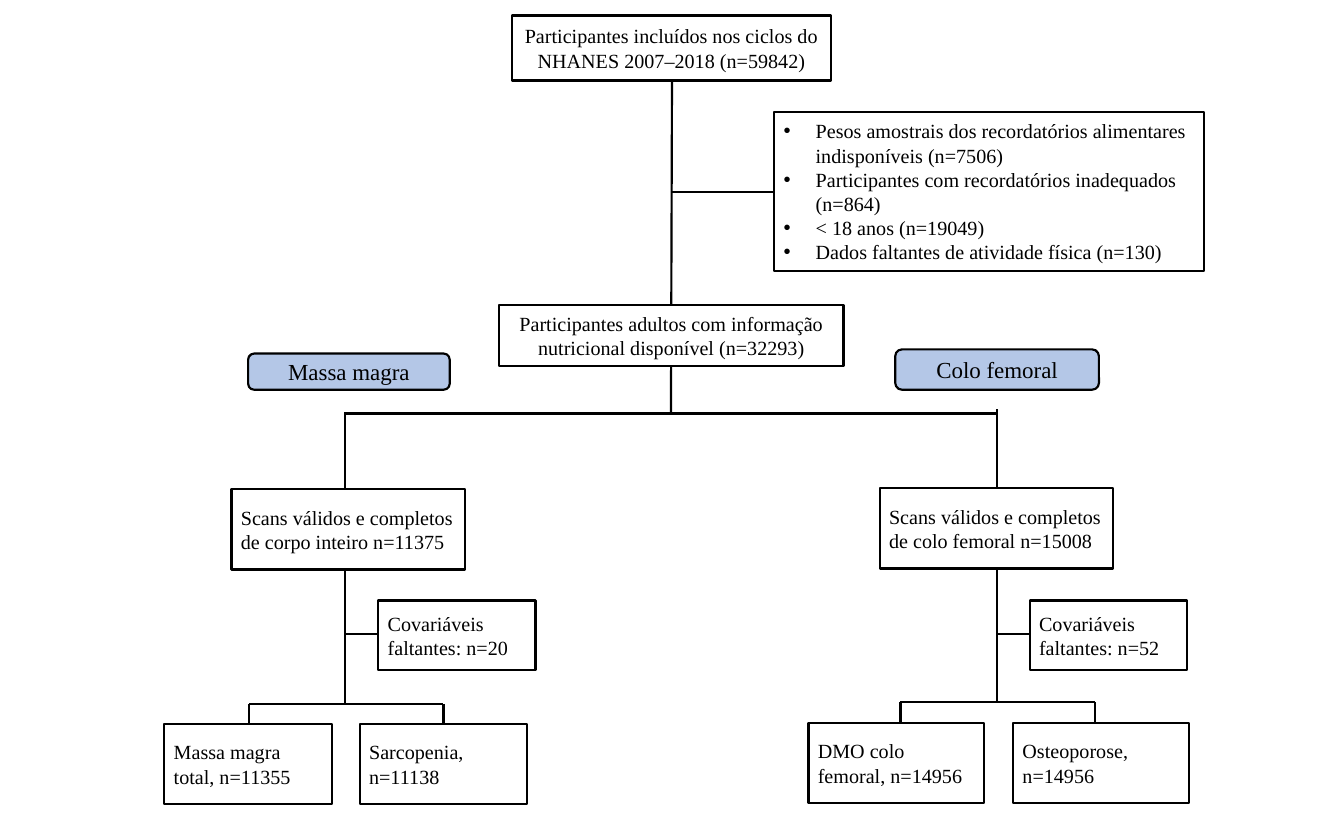
from dataclasses import dataclass

from lxml.etree import SubElement
from pptx import Presentation
from pptx.dml.color import RGBColor
from pptx.enum.shapes import MSO_CONNECTOR, MSO_SHAPE
from pptx.enum.text import MSO_ANCHOR, PP_ALIGN
from pptx.oxml.ns import qn
from pptx.util import Inches, Pt

COLORS = {"ink": "000000", "paper": "FFFFFF", "label": "B4C7E7"}
FONT = "Times New Roman"
INSET = 0.09
INDENT = 0.31


@dataclass
class Box:
    left: float
    top: float
    width: float
    height: float
    lines: list[str]
    center: bool = False
    label: bool = False
    bullet: bool = False


@dataclass
class Line:
    x1: float
    y1: float
    x2: float
    y2: float
    arrow: bool = False


@dataclass
class Branch:
    stem: float
    top: float
    bar: float
    label: Box
    scan: Box
    lost: str
    leaf_top: float
    leaf_width: float
    leaves: list[tuple[float, str]]


def color(name: str) -> RGBColor:
    return RGBColor.from_string(COLORS[name])


def add_bullet(para) -> None:
    props = para._p.get_or_add_pPr()
    props.set("marL", str(Inches(INDENT)))
    props.set("indent", str(-Inches(INDENT)))
    SubElement(props, qn("a:buFont"), typeface="Arial")
    SubElement(props, qn("a:buChar"), char="•")


def draw_box(slide, box: Box) -> None:
    kind = MSO_SHAPE.ROUNDED_RECTANGLE if box.label else MSO_SHAPE.RECTANGLE
    shape = slide.shapes.add_shape(
        kind, Inches(box.left), Inches(box.top), Inches(box.width), Inches(box.height))
    shape.shadow.inherit = False
    shape.fill.solid()
    shape.fill.fore_color.rgb = color("label" if box.label else "paper")
    shape.line.color.rgb = color("ink")
    shape.line.width = Pt(1.5)
    frame = shape.text_frame
    frame.word_wrap = True
    frame.vertical_anchor = MSO_ANCHOR.MIDDLE
    frame.margin_left = frame.margin_right = Inches(INSET)
    for i, text in enumerate(box.lines):
        para = frame.add_paragraph() if i else frame.paragraphs[0]
        para.alignment = PP_ALIGN.CENTER if box.center else PP_ALIGN.LEFT
        if box.bullet:
            add_bullet(para)
        run = para.add_run()
        run.text = text
        run.font.name = FONT
        run.font.size = Pt(16 if box.label else 14)
        run.font.color.rgb = color("ink")


def draw_line(slide, line: Line) -> None:
    link = slide.shapes.add_connector(
        MSO_CONNECTOR.STRAIGHT,
        Inches(line.x1), Inches(line.y1), Inches(line.x2), Inches(line.y2))
    link.line.color.rgb = color("ink")
    link.line.width = Pt(1.5)
    if line.arrow:
        SubElement(link.line._get_or_add_ln(), qn("a:tailEnd"), type="triangle")
    SubElement(link._element.spPr, qn("a:effectLst"))


def draw_branch(slide, branch: Branch) -> None:
    x, bar = branch.stem, branch.bar
    draw_line(slide, Line(x, branch.top, x, bar))
    draw_line(slide, Line(x, 6.13, x + 0.77, 6.13))
    for end in (x - 0.93, x + 0.95):
        draw_line(slide, Line(x, bar, end, bar))
        draw_line(slide, Line(end, bar, end, bar + 0.2))
    draw_box(slide, branch.label)
    draw_box(slide, branch.scan)
    draw_box(slide, Box(x + 0.32, 5.81, 1.52, 0.67, [branch.lost]))
    for left, text in branch.leaves:
        draw_box(slide, Box(left, branch.leaf_top, branch.leaf_width, 0.78, [text]))


# Shared trunk
TRUNK = [
    Line(6.5, 0.78, 6.49, 4),
    Line(6.49, 1.86, 7.6, 1.86, arrow=True),
    Line(3.35, 4, 9.65, 4),
]
STEPS = [
    Box(4.95, 0.15, 3.09, 0.63,
        ["Participantes incluídos nos ciclos do NHANES 2007–2018 (n=59842)"], center=True),
    Box(7.49, 1.08, 4.16, 1.54, [
        "Pesos amostrais dos recordatórios alimentares indisponíveis (n=7506)",
        "Participantes com recordatórios inadequados (n=864)",
        "< 18 anos (n=19049)",
        "Dados faltantes de atividade física (n=130)",
    ], bullet=True),
    Box(4.83, 2.95, 3.33, 0.59,
        ["Participantes adultos com informação nutricional disponível (n=32293)"], center=True),
]

# Lean mass and femoral neck
BRANCHES = [
    Branch(3.34, 3.99, 6.81,
           Box(2.4, 3.42, 1.95, 0.35, ["Massa magra"], center=True, label=True),
           Box(2.24, 4.73, 2.26, 0.78, ["Scans válidos e completos de corpo inteiro n=11375"]),
           "Covariáveis faltantes: n=20", 7, 1.62,
           [(1.59, "Massa magra total, n=11355"), (3.48, "Sarcopenia, n=11138")]),
    Branch(9.64, 3.96, 6.79,
           Box(8.66, 3.38, 1.97, 0.39, ["Colo femoral"], center=True, label=True),
           Box(8.51, 4.72, 2.26, 0.78, ["Scans válidos e completos de colo femoral n=15008"]),
           "Covariáveis faltantes: n=52", 6.99, 1.7,
           [(7.82, "DMO colo femoral, n=14956"), (9.8, "Osteoporose, n=14956")]),
]


def main() -> None:
    deck = Presentation()
    deck.slide_width, deck.slide_height = Inches(13), Inches(8)
    slide = deck.slides.add_slide(deck.slide_layouts[6])
    for line in TRUNK:
        draw_line(slide, line)
    for box in STEPS:
        draw_box(slide, box)
    for branch in BRANCHES:
        draw_branch(slide, branch)
    deck.save("out.pptx")


if __name__ == "__main__":
    main()
